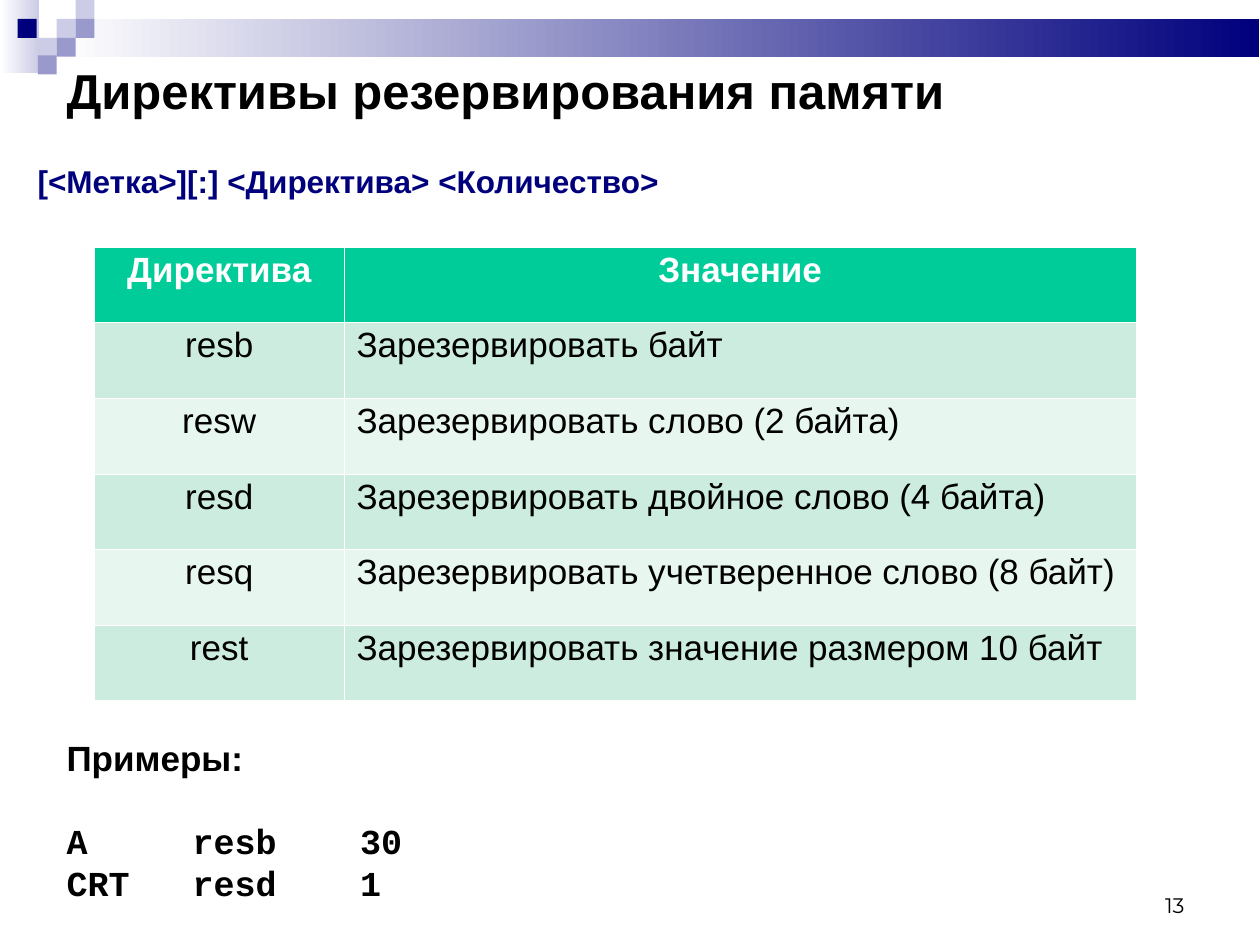
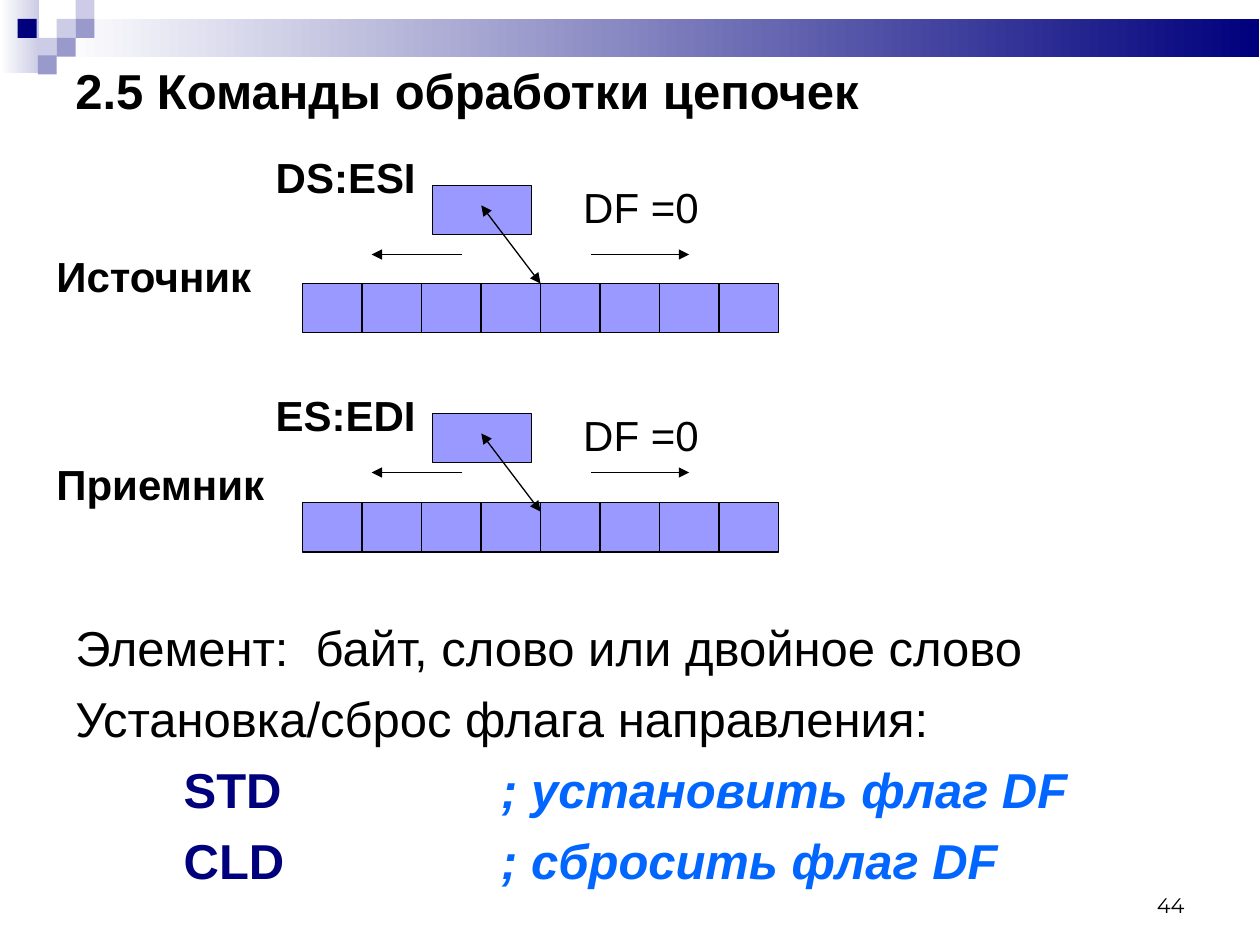
from pptx import Presentation
from pptx.util import Inches, Pt
from pptx.dml.color import RGBColor
from pptx.enum.shapes import MSO_SHAPE as Kind, MSO_CONNECTOR as Wire
from pptx.enum.text import PP_ALIGN as Align, MSO_ANCHOR as Anchor
from pptx.oxml.ns import qn
from lxml.etree import SubElement as Sub

BLACK, WHITE, NAVY, BLUE = "000000", "FFFFFF", "00007D", "0066FF"
PALE, MID, CELL = "CCCCE6", "9999CC", "9999FF"
HEAD, BANDS = "00CC99", ("CBECDE", "E7F6EF")

FADES = [((0, 0, 0.31, 0.58), PALE), ((0.45, 0.15, 9.54, 0.3), NAVY)]
TILES = [(0.45, 0.15, PALE), (0.6, 0, PALE), (0.6, 0.15, MID),
         (0.3, 0.3, PALE), (0.14, 0.15, NAVY), (0.45, 0.3, MID),
         (0.3, 0.44, MID)]
TILE = 0.15

SYNTAX = "[<Метка>][:] <Директива> <Количество>"
ROWS = [
    ("Директива", "Значение"),
    ("resb", "Зарезервировать байт"),
    ("resw", "Зарезервировать слово (2 байта)"),
    ("resd", "Зарезервировать двойное слово (4 байта)"),
    ("resq", "Зарезервировать учетверенное слово (8 байт)"),
    ("rest", "Зарезервировать значение размером 10 байт"),
]
COLS, ROW = (1.98, 6.29), 0.6
SAMPLE = "Примеры:"
CODE = ["А\tresb\t30", "СRT\tresd\t1"]

NOTES = ["Элемент:  байт, слово или двойное слово",
         "Установка/сброс флага направления:"]
FLAGS = [("STD", "; установить флаг DF"), ("CLD", "; сбросить флаг DF")]
CHAINS = [
    dict(name="Источник", reg="DS:ESI", name_y=1.94, reg_y=1.15,
         flag_y=1.39, box_y=1.47, way_y=2.02, row_y=2.25),
    dict(name="Приемник", reg="ES:EDI", name_y=3.59, reg_y=3.04,
         flag_y=3.2, box_y=3.28, way_y=3.75, row_y=3.99),
]
COUNT, LEFT, STEP, HIGH = 8, 2.4, 0.4725, 0.39


def color(code):
    return RGBColor.from_string(code)


def write(frame, paras, size=24, face="Arial", ink=BLACK, bold=False,
          align=Align.LEFT, gap=0, line=None, tabs=()):
    for num, para in enumerate(paras):
        p = frame.paragraphs[0] if num == 0 else frame.add_paragraph()
        p.alignment = align
        if line:
            p.line_spacing = line
        parts = [(para, {})] if isinstance(para, str) else para
        space = parts[0][1].get("gap", gap)
        if num and space:
            p.space_before = Pt(space)
        if tabs:
            stops = Sub(p._p.get_or_add_pPr(), qn("a:tabLst"))
            for pos in tabs:
                Sub(stops, qn("a:tab"), pos=str(Inches(pos)), algn="l")
        for text, own in parts:
            run = p.add_run()
            run.text = text
            font = run.font
            font.size, font.name = Pt(size), own.get("face", face)
            font.bold = own.get("bold", bold)
            font.italic = own.get("slant", False)
            font.color.rgb = color(own.get("ink", ink))


def label(slide, box, paras, anchor=Anchor.TOP, **form):
    frame = slide.shapes.add_textbox(*map(Inches, box)).text_frame
    frame.word_wrap = True
    frame.vertical_anchor = anchor
    write(frame, [paras] if isinstance(paras, str) else paras, **form)


def block(slide, box, fill, edge=None, fade=False):
    shape = slide.shapes.add_shape(Kind.RECTANGLE, *map(Inches, box))
    shape.shadow.inherit = False
    if fade:
        shape.fill.gradient()
        shape.fill.gradient_angle = 0
        for stop, code in zip(shape.fill.gradient_stops, (WHITE, fill)):
            stop.color.rgb = color(code)
    else:
        shape.fill.solid()
        shape.fill.fore_color.rgb = color(fill)
    if edge:
        shape.line.color.rgb = color(edge)
        shape.line.width = Pt(0.75)
    else:
        shape.line.fill.background()


def arrow(slide, start, end, both=False):
    wire = slide.shapes.add_connector(Wire.STRAIGHT, *map(Inches, start + end))
    wire.line.color.rgb = color(BLACK)
    wire.line.width = Pt(0.75)
    ln = wire.line._ln
    if both:
        Sub(ln, qn("a:headEnd"), type="triangle")
    Sub(ln, qn("a:tailEnd"), type="triangle")
    Sub(wire._element.spPr, qn("a:effectLst"))


def page(deck, title, left, number):
    slide = deck.slides.add_slide(deck.slide_layouts[6])
    for box, code in FADES:
        block(slide, box, code, fade=True)
    for x, y, code in TILES:
        block(slide, (x, y, TILE, TILE), code)
    label(slide, (7.17, 6.83, 2.33, 0.5), number, Anchor.BOTTOM,
          size=12, face="Montserrat", align=Align.RIGHT)
    label(slide, (left, 0.43, 9.5 - left, 0.57), title, Anchor.MIDDLE,
          size=28, bold=True)
    return slide


def border(cell, sides):
    props = cell._tc.get_or_add_tcPr()
    for side, width in sides.items():
        ln = Sub(props, qn("a:ln" + side), w=str(Pt(width)))
        Sub(Sub(ln, qn("a:solidFill")), qn("a:srgbClr"), val=WHITE)


def grid(slide):
    box = (0.75, 1.96, sum(COLS), ROW * len(ROWS))
    table = slide.shapes.add_table(len(ROWS), len(COLS),
                                   *map(Inches, box)).table
    table.horz_banding = table.first_row = False
    for col, width in zip(table.columns, COLS):
        col.width = Inches(width)
    for r, texts in enumerate(ROWS):
        table.rows[r].height = Inches(ROW)
        top = r == 0
        for c, text in enumerate(texts):
            cell = table.cell(r, c)
            border(cell, dict(L=0.23, R=0.23, T=0.75 if r == 1 else 0.23,
                              B=0.75 if top else 0.23))
            cell.fill.solid()
            cell.fill.fore_color.rgb = color(HEAD if top else BANDS[(r - 1) % 2])
            write(cell.text_frame, [text], size=20, bold=top, line=0.93,
                  ink=WHITE if top else BLACK,
                  align=Align.CENTER if top or c == 0 else Align.LEFT)


def memory(deck):
    slide = page(deck, "Директивы резервирования памяти", 0.43, "13")
    label(slide, (0.2, 1.24, 9.73, 0.4), SYNTAX, size=18, ink=NAVY, bold=True)
    grid(slide)
    lines = [[(text, dict(face="Courier New", gap=0 if num else 23))]
             for num, text in enumerate(CODE)]
    label(slide, (0.43, 5.8, 3.54, 1.44), [SAMPLE] + lines,
          size=20, bold=True, tabs=(1, 2.33))


def chain(slide, name, reg, name_y, reg_y, flag_y, box_y, way_y, row_y):
    for num in range(COUNT):
        block(slide, (LEFT + num * STEP, row_y, STEP, HIGH), CELL, BLACK)
    block(slide, (3.43, box_y, 0.79, HIGH), CELL, BLACK)
    arrow(slide, (3.82, box_y + 0.16), (4.29, box_y + 0.78), both=True)
    arrow(slide, (4.69, way_y), (5.47, way_y))
    arrow(slide, (3.67, way_y), (2.95, way_y))
    label(slide, (2.09, reg_y, 1.57, 0.5), reg, bold=True)
    label(slide, (0.35, name_y, 1.97, 0.5), name, bold=True)
    label(slide, (4.53, flag_y, 1.18, 0.5), "DF =0")


def strings(deck):
    slide = page(deck, "2.5 Команды обработки цепочек", 0.5, "44")
    lines = [[("\t" + word + "\t", dict(ink=NAVY, bold=True)),
              (note, dict(ink=BLUE, bold=True, slant=True))]
             for word, note in FLAGS]
    label(slide, (0.5, 4.85, 9, 2.28), NOTES + lines,
          size=28, gap=7, tabs=(0.86, 3.38))
    for item in CHAINS:
        chain(slide, **item)


def main():
    deck = Presentation()
    deck.slide_width, deck.slide_height = Inches(10), Inches(7.5)
    memory(deck)
    strings(deck)
    deck.save("out.pptx")


if __name__ == "__main__":
    main()
